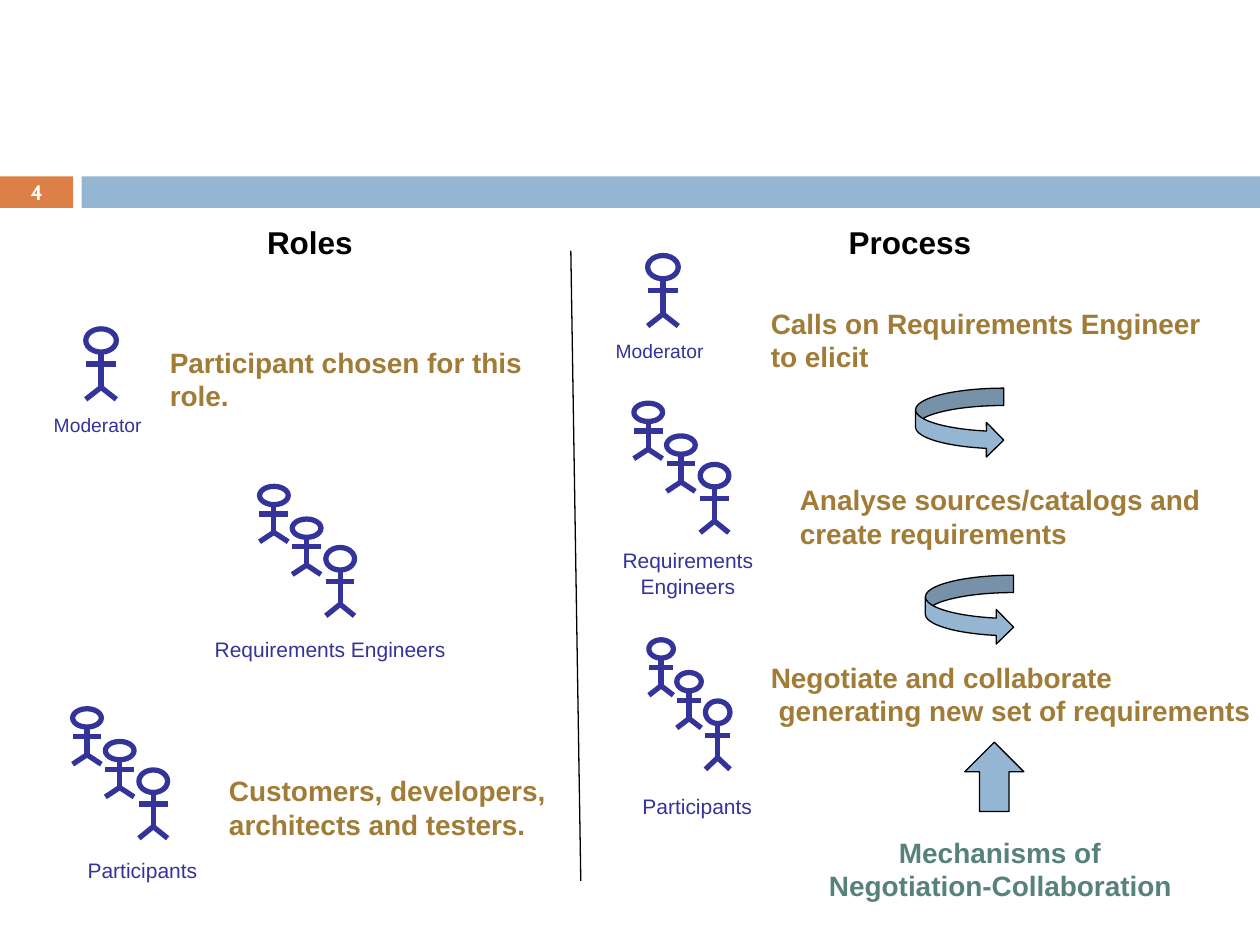
"""Build the slide on the roles and the process of requirements negotiation."""
from lxml.etree import SubElement
from pptx import Presentation
from pptx.dml.color import RGBColor
from pptx.enum.shapes import MSO_CONNECTOR as Connector, MSO_SHAPE as Shape
from pptx.enum.text import MSO_ANCHOR as Anchor, PP_ALIGN as Align
from pptx.oxml.ns import qn
from pptx.util import Pt

BLACK = RGBColor(0x00, 0x00, 0x00)
WHITE = RGBColor(0xFF, 0xFF, 0xFF)
ORANGE = RGBColor(0xDD, 0x80, 0x47)
BLUE = RGBColor(0x94, 0xB6, 0xD2)
INDIGO = RGBColor(0x33, 0x33, 0x99)
GOLD = RGBColor(0xA1, 0x7C, 0x36)
GREEN = RGBColor(0x57, 0x82, 0x79)


def add_text(shapes, box, lines, size, color, bold=True, align=Align.LEFT,
             font="Arial", anchor=Anchor.TOP, indents=(0, 0)):
    """Write one paragraph per line, each with its own left indent."""
    frame = shapes.add_textbox(*map(Pt, box)).text_frame
    frame.word_wrap = True
    frame.vertical_anchor = anchor
    frame.text = "\n".join(lines)
    for paragraph, indent in zip(frame.paragraphs, indents):
        paragraph.alignment = align
        paragraph.font.name = font
        paragraph.font.size = Pt(size)
        paragraph.font.bold = bold
        paragraph.font.color.rgb = color
        if indent:
            paragraph._p.get_or_add_pPr().set("marL", str(Pt(indent)))


def add_filled(shapes, kind, box, fill, outline=None, weight=0.75):
    """Draw a flat preset shape, outlined if a colour is given."""
    shape = shapes.add_shape(kind, *map(Pt, box))
    shape.shadow.inherit = False
    shape.fill.solid()
    shape.fill.fore_color.rgb = fill
    if outline is None:
        shape.line.fill.background()
    else:
        shape.line.color.rgb = outline
        shape.line.width = Pt(weight)


def add_line(shapes, start, end, color, weight):
    """Draw a straight line without a shadow."""
    line = shapes.add_connector(Connector.STRAIGHT, *map(Pt, (*start, *end)))
    line.line.color.rgb = color
    line.line.width = Pt(weight)
    SubElement(line._element.spPr, qn("a:effectLst"))


def add_person(shapes, left, top, width, height):
    """Draw a stick figure with its parts at fixed shares of its height."""
    center, right = left + width / 2, left + width
    neck, arms, hips = (top + height * share for share in (0.33, 0.5, 0.83))
    feet = top + height
    add_filled(shapes, Shape.OVAL, (left, top, width, neck - top), WHITE, INDIGO, 3)
    for start, end in (
        ((center, neck), (center, hips)),
        ((left, arms), (right, arms)),
        ((center, hips), (left, feet)),
        ((center, hips), (right, feet)),
    ):
        add_line(shapes, start, end, INDIGO, 3)


def add_moderator(slide, left, top):
    """Draw a single labelled person."""
    role = slide.shapes.add_group_shape().shapes
    add_person(role, left, top, 17.5, 40.3)
    add_text(role, (left - 32.4, top + 44.6, 78.5, 23.8), ["Moderator"], 11,
             INDIGO, bold=False, align=Align.CENTER)


def add_team(slide, left, top, label, label_box, width=16.4, align=Align.CENTER):
    """Draw three labelled people in a descending row, the nearest one taller."""
    role = slide.shapes.add_group_shape().shapes
    for step, drop, height in ((0, 0, 31.7), (1.14, 18.7, 31.7), (2.31, 35, 39)):
        add_person(role, left + step * width, top + drop, width, height)
    add_text(role, label_box, [label], 12, INDIGO, bold=False, align=align)


def add_header(slide):
    """Draw the band with the slide number and the two column titles."""
    add_filled(slide.shapes, Shape.RECTANGLE, (0, 100.8, 41.8, 18), ORANGE)
    add_filled(slide.shapes, Shape.RECTANGLE, (46.6, 100.8, 673.4, 18), BLUE)
    add_text(slide.shapes, (0, 100.2, 41.8, 19.4), ["4"], 12, WHITE,
             align=Align.CENTER, font="Cabin", anchor=Anchor.MIDDLE)
    for left, title in ((123.8, "Roles"), (466.6, "Process")):
        add_text(slide.shapes, (left, 123.8, 106.6, 28.8), [title], 18, BLACK,
                 align=Align.CENTER)
    add_line(slide.shapes, (326.2, 143.3), (331.9, 503.3), BLACK, 0.75)


def add_roles(slide):
    """Fill the left column with the roles."""
    add_moderator(slide, 49, 187.9)
    add_team(slide, 148.3, 277.9, "Requirements Engineers", (95.8, 360, 185.8, 16.6))
    add_team(slide, 41.5, 405, "Participants", (-11.5, 486.7, 185.8, 16.6))
    for box, duty in (
        ((90, 193.7, 247.7, 46), "Participant chosen for this role."),
        ((123.8, 438.5, 213.8, 46), "Customers, developers, architects and testers."),
    ):
        add_text(slide.shapes, box, [duty], 16, GOLD)


def add_process(slide):
    """Fill the right column with the steps of the process."""
    add_moderator(slide, 370.1, 146)
    add_team(slide, 362.2, 230.4, "Requirements Engineers", (342, 309.6, 102.2, 23.8))
    add_team(slide, 370.8, 365.6, "Participants", (360, 450, 123.8, 14.4),
             width=14, align=Align.LEFT)
    for box, step in (
        ((433.4, 171.4, 270, 46), ["Calls on Requirements Engineer to elicit"]),
        ((450, 272.2, 247.7, 46), ["Analyse sources/catalogs and create requirements"]),
        ((433.4, 373.7, 315.4, 46),
         ["Negotiate and collaborate", "generating new set of requirements"]),
    ):
        add_text(slide.shapes, box, step, 16, GOLD, indents=(0, 4.5))
    for kind, box in (
        (Shape.CURVED_RIGHT_ARROW, (523.2, 221.8, 50.4, 39.6)),
        (Shape.CURVED_RIGHT_ARROW, (528.8, 328.7, 50.4, 39.6)),
        (Shape.UP_ARROW, (551.3, 424.1, 33.8, 39.6)),
    ):
        add_filled(slide.shapes, kind, box, BLUE, BLACK)
    add_text(slide.shapes, (466.6, 473.8, 236.2, 46),
             ["Mechanisms of", "Negotiation-Collaboration"], 16, GREEN,
             indents=(40, 0))


def main():
    """Build and save the slide."""
    deck = Presentation()
    deck.slide_width, deck.slide_height = Pt(720), Pt(540)
    slide = deck.slides.add_slide(deck.slide_layouts[6])
    add_header(slide)
    add_roles(slide)
    add_process(slide)
    deck.save("out.pptx")


if __name__ == "__main__":
    main()
